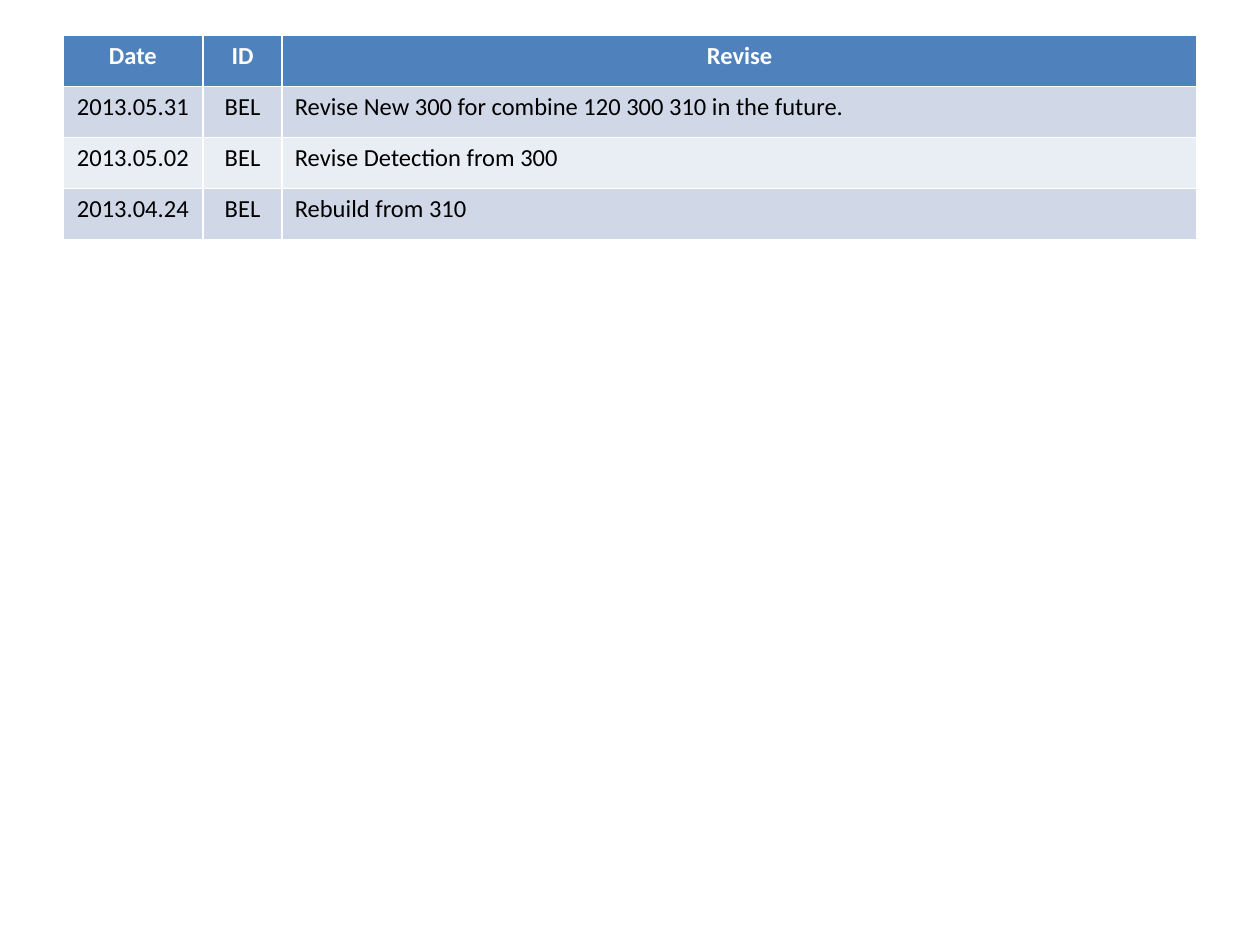
from pptx import Presentation
from pptx.dml.color import RGBColor
from pptx.enum import text
from pptx.util import Inches, Pt

BLUE = RGBColor(0x4F, 0x81, 0xBD)
DARK = RGBColor(0xD0, 0xD8, 0xE8)
LIGHT = RGBColor(0xE9, 0xED, 0xF4)
WHITE = RGBColor(0xFF, 0xFF, 0xFF)
BLACK = RGBColor(0x00, 0x00, 0x00)

WIDTHS = (1.11, 0.63, 7.26)
ROWS = (
    ("Date", "ID", "Revise"),
    ("2013.05.31", "BEL", "Revise New 300 for combine 120 300 310 in the future."),
    ("2013.05.02", "BEL", "Revise Detection from 300"),
    ("2013.04.24", "BEL", "Rebuild from 310"),
)


def fill_cell(cell, words, fill, head, center):
    cell.fill.solid()
    cell.fill.fore_color.rgb = fill
    para = cell.text_frame.paragraphs[0]
    para.alignment = text.PP_ALIGN.CENTER if center else text.PP_ALIGN.LEFT
    run = para.add_run()
    run.text = words
    font = run.font
    font.name = "Calibri"
    font.size = Pt(14)
    font.bold = head
    font.color.rgb = WHITE if head else BLACK


def add_log(slide, left, top, width, height):
    """Place the revision table; its default style draws the white borders."""
    frame = slide.shapes.add_table(len(ROWS), len(WIDTHS), left, top, width, height)
    table = frame.table
    for col, share in zip(table.columns, WIDTHS):
        col.width = int(width * share / sum(WIDTHS))
    for r, row in enumerate(ROWS):
        head = r == 0
        fill = BLUE if head else (LIGHT, DARK)[r % 2]
        for c, words in enumerate(row):
            last = c == len(row) - 1
            fill_cell(table.cell(r, c), words, fill, head, head or not last)


def main():
    deck = Presentation()
    deck.slide_width = Inches(10)
    deck.slide_height = Inches(7.5)
    slide = deck.slides.add_slide(deck.slide_layouts[6])
    add_log(slide, Inches(0.5), Inches(0.28), Inches(9), Inches(1.62))
    deck.save("out.pptx")


if __name__ == "__main__":
    main()
